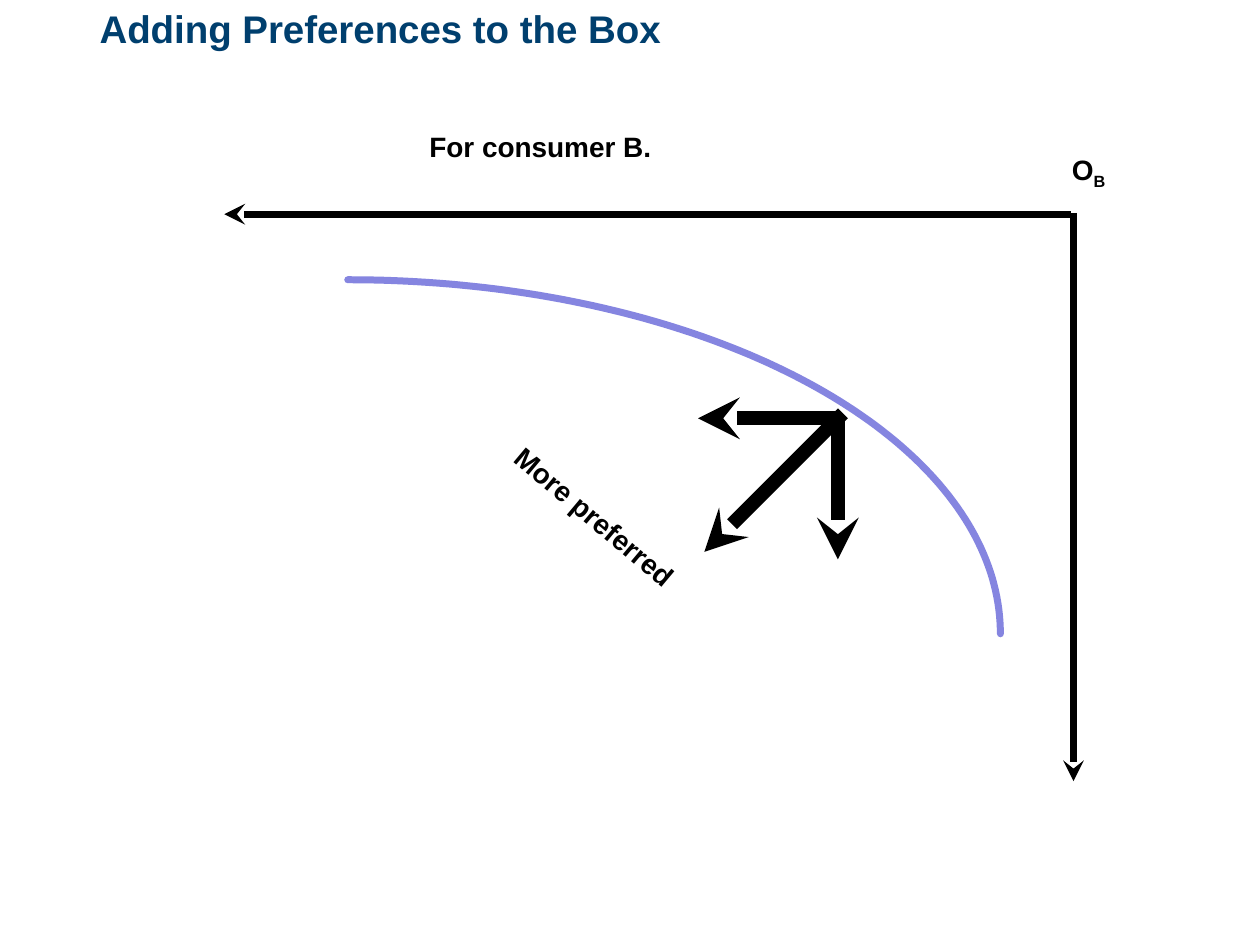
import math

import pptx
import pptx.dml.color
import pptx.enum.shapes
import pptx.enum.text
import pptx.oxml.ns
import pptx.util
from lxml import etree
from pptx.util import Inches

qn = pptx.oxml.ns.qn


def rgb(color):
    return pptx.dml.color.RGBColor.from_string(color)


def add_run(p, text, size, color):
    r = p.add_run()
    r.text = text
    font = {"name": "Arial", "size": pptx.util.Pt(size), "bold": True}
    for key, value in font.items():
        setattr(r.font, key, value)
    r.font.color.rgb = rgb(color)
    return r


prs = pptx.Presentation()
prs.slide_width, prs.slide_height = Inches(10), Inches(7.5)
s = prs.slides.add_slide(prs.slide_layouts[5])

# Title
title = s.shapes.title
title.left, title.top = Inches(0.79), Inches(0.04)
title.width, title.height = Inches(6.5), Inches(0.92)
tf = title.text_frame
frame = {"margin_left": 0, "margin_top": 0, "margin_right": 0, "margin_bottom": 0,
         "vertical_anchor": pptx.enum.text.MSO_ANCHOR.TOP, "word_wrap": True,
         "auto_size": pptx.enum.text.MSO_AUTO_SIZE.NONE}
for key, value in frame.items():
    setattr(tf, key, value)
p = tf.paragraphs[0]
p.alignment = pptx.enum.text.PP_ALIGN.LEFT
add_run(p, "Adding Preferences to the Box", 22, "003F6E")

# Axes from consumer B's origin, then the directions of preference
arrows = [
    (8.52, 1.69, 8.52, 6.2, 4),
    (8.5, 1.7, 1.78, 1.7, 4),
    (6.65, 3.33, 6.65, 4.44, 8),
    (6.65, 3.32, 5.54, 3.32, 8),
    (6.69, 3.28, 5.59, 4.38, 8),
]
for x1, y1, x2, y2, width in arrows:
    arrow = s.shapes.add_connector(
        pptx.enum.shapes.MSO_CONNECTOR.STRAIGHT,
        Inches(x1), Inches(y1), Inches(x2), Inches(y2))
    arrow.line.color.rgb = rgb("000000")
    arrow.line.width = pptx.util.Pt(width)
    etree.SubElement(arrow.line._get_or_add_ln(), qn("a:tailEnd"), type="stealth")
    etree.SubElement(arrow._element.spPr, qn("a:effectLst"))

# Labels: text, subscript, left, top, width, rotation
labels = [
    ("More preferred", "", 3.57, 4.39, 3.34, 40),
    ("For consumer B.", "", 3.31, 0.98, 3.73, 0),
    ("O", "B", 8.41, 1.16, 0.76, 0),
]
for text, subscript, left, top, width, rotation in labels:
    sp = s.shapes.add_textbox(Inches(left), Inches(top), Inches(width), Inches(0.63))
    sp.rotation = rotation
    sp.text_frame.word_wrap = True
    p = sp.text_frame.paragraphs[0]
    add_run(p, text, 16, "000000")
    if subscript:
        r = add_run(p, subscript, 16, "000000")
        r._r.get_or_add_rPr().set("baseline", "-25000")

# Indifference curve: a quarter of an ellipse
left, bottom, rx, ry, steps = 2.76, 5.03, 5.18, 2.81, 90
points = []
for i in range(steps + 1):
    angle = math.pi / 2 * i / steps
    points.append((Inches(left + rx * math.sin(angle)),
                   Inches(bottom - ry * math.cos(angle))))
builder = s.shapes.build_freeform(*points[0])
builder.add_line_segments(points[1:], close=False)
curve = builder.convert_to_shape()
curve.shadow.inherit = False
curve.fill.background()
curve.line.color.rgb = rgb("8585E0")
curve.line.width = pptx.util.Pt(4)
ln = curve.line._get_or_add_ln()
ln.set("cap", "rnd")
etree.SubElement(ln, qn("a:round"))

prs.save("out.pptx")
